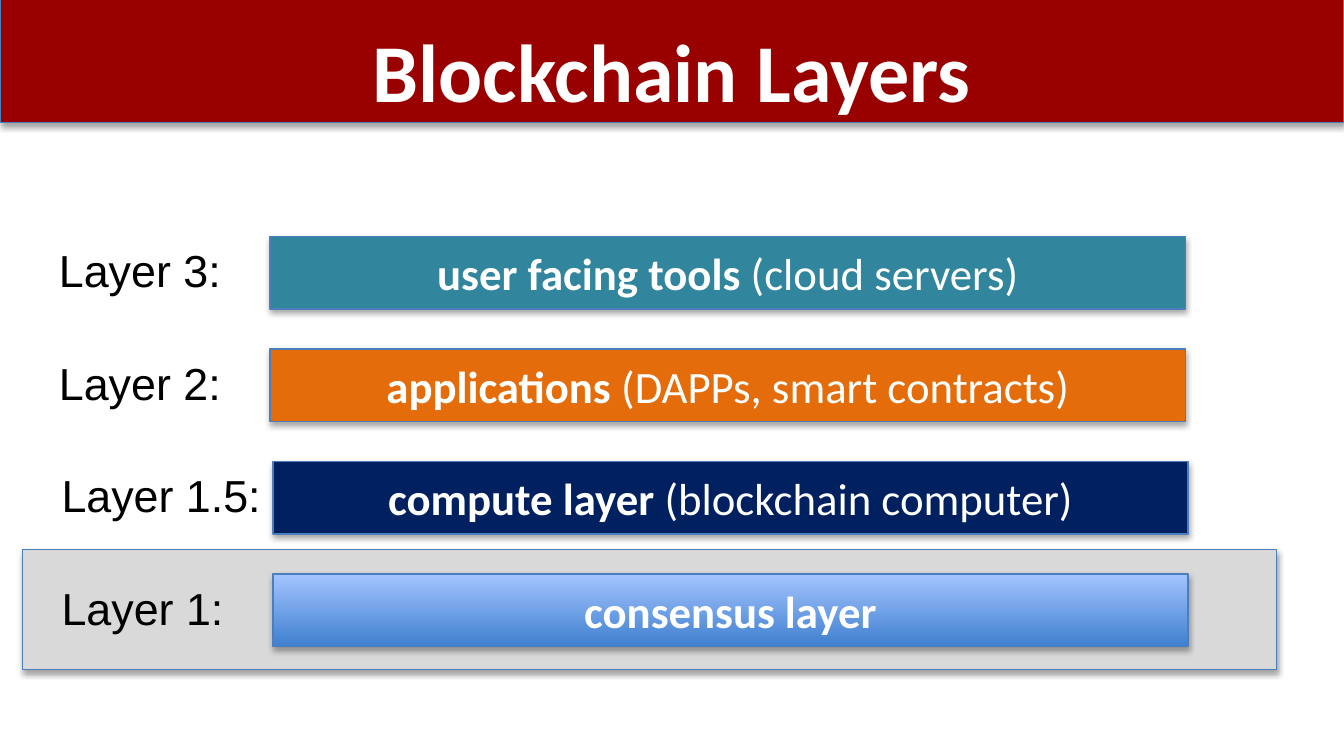
from dataclasses import dataclass

from lxml import etree
from pptx import Presentation
from pptx.dml.color import RGBColor
from pptx.enum.shapes import MSO_SHAPE
from pptx.enum.text import MSO_ANCHOR, MSO_AUTO_SIZE, PP_ALIGN
from pptx.oxml.ns import nsdecls
from pptx.util import Inches, Pt


@dataclass(frozen=True)
class Theme:
    banner: str = "990000"
    panel: str = "D9D9D9"
    outline: str = "4B7EBC"
    light: str = "FFFFFF"
    dark: str = "000000"
    tools: str = "31859C"
    applications: str = "E46C0A"
    compute: str = "002060"
    consensus: tuple = ("3F80CE", "A4C4FF")
    title_size: int = 44
    body_size: int = 24
    heading_font: str = "Calibri"
    label_font: str = "Arial"


theme = Theme()

SHADOW = f"""<a:effectLst {nsdecls("a")}>
  <a:outerShdw blurRad="39370" dist="22860" dir="5400000" rotWithShape="0">
    <a:srgbClr val="000000"><a:alpha val="35000"/></a:srgbClr>
  </a:outerShdw>
</a:effectLst>"""


def add_box(left, top, width, height, fill):
    """Add an outlined, shadowed rectangle; a pair of colours gives a bottom-to-top gradient."""
    box = slide.shapes.add_shape(
        MSO_SHAPE.RECTANGLE, Inches(left), Inches(top), Inches(width), Inches(height))
    if isinstance(fill, tuple):
        box.fill.gradient()
        box.fill.gradient_angle = 90
        for stop, position, color in zip(box.fill.gradient_stops, (0, 1), fill):
            stop.position = position
            stop.color.rgb = RGBColor.from_string(color)
    else:
        box.fill.solid()
        box.fill.fore_color.rgb = RGBColor.from_string(fill)
    box.line.color.rgb = RGBColor.from_string(theme.outline)
    box.line.width = Pt(0.75)
    box.element.spPr.append(etree.fromstring(SHADOW))
    return box


def add_run(paragraph, text, size, font, color, bold=False):
    run = paragraph.add_run()
    run.text = text
    run.font.size = Pt(size)
    run.font.name = font
    run.font.bold = bold
    run.font.color.rgb = RGBColor.from_string(color)


prs = Presentation()
prs.slide_width = Inches(10)
prs.slide_height = prs.slide_width * 9 // 16
slide = prs.slides.add_slide(prs.slide_layouts[5])

# Title over its banner
title = slide.shapes.title
banner = add_box(0, -0.01, 10, 0.92, theme.banner)
title.element.addprevious(banner.element)
title.left, title.top = Inches(0.5), Inches(0.1)
title.width, title.height = Inches(9), Inches(0.68)
title.text_frame.word_wrap = False
title.text_frame.auto_size = MSO_AUTO_SIZE.NONE
title.text_frame.vertical_anchor = MSO_ANCHOR.TOP
title.text_frame.margin_top = Inches(0.05)
heading = title.text_frame.paragraphs[0]
heading.alignment = PP_ALIGN.CENTER
add_run(heading, "Blockchain Layers", theme.title_size, theme.heading_font, theme.light, True)

# Panel behind layer 1
add_box(0.17, 4.09, 9.33, 0.89, theme.panel)

# Layers from the bottom up: label, label width, label left, name, examples, fill
layers = [
    ("Layer 1:", 1.42, 0.36, "consensus layer", "", theme.consensus),
    ("Layer 1.5:", 1.7, 0.36, "compute layer ", "(blockchain computer)", theme.compute),
    ("Layer 2:", 1.42, 0.34, "applications", " (DAPPs, smart contracts)", theme.applications),
    ("Layer 3:", 1.42, 0.34, "user facing tools ", "(cloud servers)", theme.tools),
]
for level, (label, label_width, left, name, examples, fill) in enumerate(layers):
    top = 4.27 - level * 2.51 / 3
    bar = add_box(left + 1.67, top, 6.81, 0.54, fill)
    bar.text_frame.vertical_anchor = MSO_ANCHOR.MIDDLE
    content = bar.text_frame.paragraphs[0]
    content.alignment = PP_ALIGN.CENTER
    add_run(content, name, theme.body_size, theme.heading_font, theme.light, True)
    if examples:
        add_run(content, examples, theme.body_size, theme.heading_font, theme.light)

    caption = slide.shapes.add_textbox(
        Inches(left), Inches(top), Inches(label_width), Inches(0.5)).text_frame
    caption.word_wrap = False
    caption.auto_size = MSO_AUTO_SIZE.SHAPE_TO_FIT_TEXT
    add_run(caption.paragraphs[0], label, theme.body_size, theme.label_font, theme.dark)

prs.save("out.pptx")
